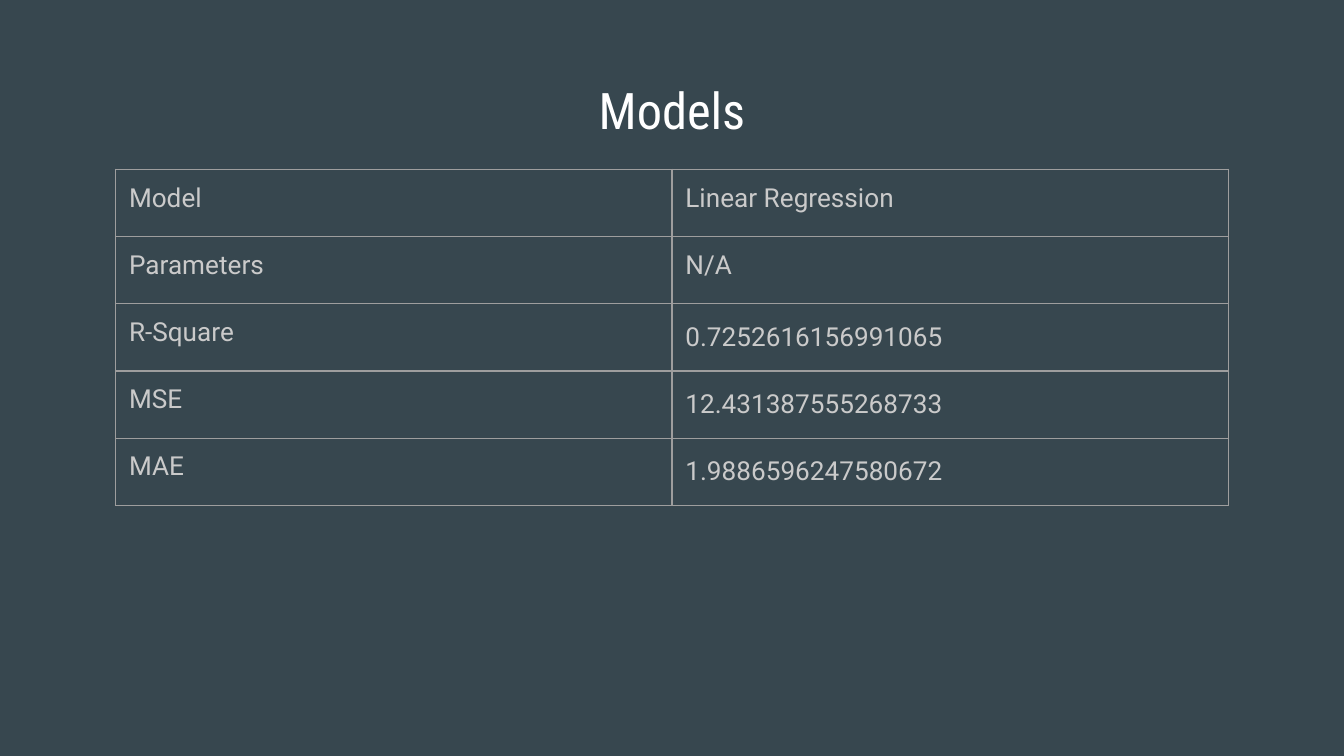
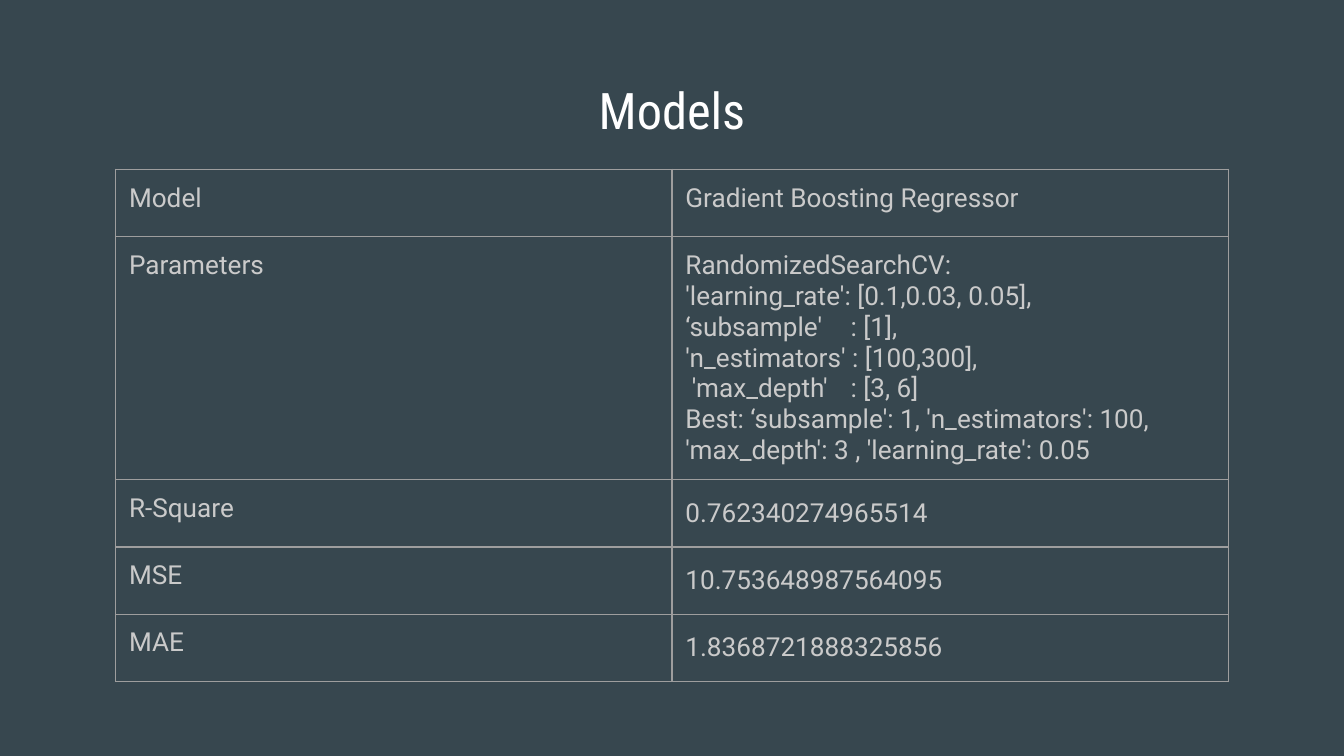
from lxml import etree
from pptx import Presentation
from pptx.dml.color import RGBColor
from pptx.enum.text import MSO_ANCHOR, MSO_AUTO_SIZE, PP_ALIGN
from pptx.oxml.ns import qn
from pptx.util import Inches, Pt

CENTER = PP_ALIGN.CENTER
TOP = MSO_ANCHOR.TOP
NO_FIT = MSO_AUTO_SIZE.NONE

WIDE, HIGH = Pt(720), Pt(405)
PAD = Inches(0.1)
ROW = Inches(0.5)
COL = Inches(4.14)
STOP = Inches(1.23)
EDGE = Pt(0.75)

SLATE = RGBColor(0x37, 0x47, 0x4F)
WHITE = RGBColor(0xFF, 0xFF, 0xFF)
PALE = RGBColor(0xCA, 0xCA, 0xCA)
GRAY = RGBColor(0x9E, 0x9E, 0x9E)

HEAD = {"name": "Roboto Condensed", "size": Pt(27), "bold": False}
BODY = {"name": "Roboto", "size": Pt(14), "bold": False}
CELL = {"margin_left": PAD, "margin_right": PAD, "margin_top": PAD,
        "margin_bottom": PAD, "vertical_anchor": TOP}
FRAME = {**CELL, "word_wrap": True, "auto_size": NO_FIT}
PLAIN = {"first_row": False, "horz_banding": False}

LABELS = ("Model", "Parameters", "R-Square", "MSE", "MAE")
SCORES = LABELS[2:]
MODELS = (
    (["Linear Regression"], ["N/A"], ["0.7252616156991065"],
     ["12.431387555268733"], ["1.9886596247580672"]),
    (["Gradient Boosting Regressor"],
     ["RandomizedSearchCV:",
      "'learning_rate': [0.1,0.03, 0.05],",
      "‘subsample'\t: [1],",
      "'n_estimators' : [100,300],",
      " 'max_depth'\t: [3, 6]",
      "Best: ‘subsample': 1, 'n_estimators': 100, "
      "'max_depth': 3 , 'learning_rate': 0.05"],
     ["0.762340274965514"], ["10.753648987564095"],
     ["1.8368721888325856"]),
)


def apply(item, values):
    """Set each attribute named in values on item."""
    for name, value in values.items():
        setattr(item, name, value)


def write(para, text, style, color):
    """Put one styled run of text in a paragraph."""
    run = para.add_run()
    run.text = text
    apply(run.font, style)
    run.font.color.rgb = color


def add_stop(para):
    """Give a paragraph one left tab stop."""
    stops = etree.SubElement(para._p.get_or_add_pPr(), qn("a:tabLst"))
    etree.SubElement(stops, qn("a:tab"), pos=str(STOP), algn="l")


def add_edges(cell):
    """Draw a thin line on all four sides of a cell."""
    props = cell._tc.get_or_add_tcPr()
    for side in ("lnL", "lnR", "lnT", "lnB"):
        line = etree.SubElement(props, qn(f"a:{side}"), w=str(EDGE))
        fill = etree.SubElement(line, qn("a:solidFill"))
        etree.SubElement(fill, qn("a:srgbClr"), val=str(GRAY))


def fill_cell(cell, lines, space=None):
    """Format a cell and write its lines as paragraphs."""
    apply(cell, CELL)
    add_edges(cell)
    cell.fill.background()
    frame = cell.text_frame
    for i, text in enumerate(lines):
        para = frame.add_paragraph() if i else frame.paragraphs[0]
        if space:
            para.line_spacing = space
        if "\t" in text:
            add_stop(para)
        write(para, text, BODY, PALE)


def add_title(slide, text):
    """Place and style the slide title."""
    title = slide.shapes.title
    width = Inches(9.32)
    apply(title, {"left": (WIDE - width) // 2, "top": Inches(0.49),
                  "width": width, "height": Inches(0.63)})
    apply(title.text_frame, FRAME)
    para = title.text_frame.paragraphs[0]
    para.alignment = CENTER
    write(para, text, HEAD, WHITE)


def add_grid(slide, values):
    """Add the table of labels and model values."""
    count = len(LABELS)
    left = (WIDE - 2 * COL) // 2
    table = slide.shapes.add_table(
        count, 2, left, Inches(1.26), 2 * COL, count * ROW).table
    apply(table, PLAIN)
    for col in table.columns:
        col.width = COL
    for i, (label, lines) in enumerate(zip(LABELS, values)):
        table.rows[i].height = ROW
        fill_cell(table.cell(i, 0), [label])
        fill_cell(table.cell(i, 1), lines, 1.15 if label in SCORES else None)


def main():
    """Build one slide for each model."""
    prs = Presentation()
    apply(prs, {"slide_width": WIDE, "slide_height": HIGH})
    back = prs.slide_master.background.fill
    back.solid()
    back.fore_color.rgb = SLATE
    for values in MODELS:
        slide = prs.slides.add_slide(prs.slide_layouts[5])
        add_title(slide, "Models")
        add_grid(slide, values)
    prs.save("out.pptx")


if __name__ == "__main__":
    main()
